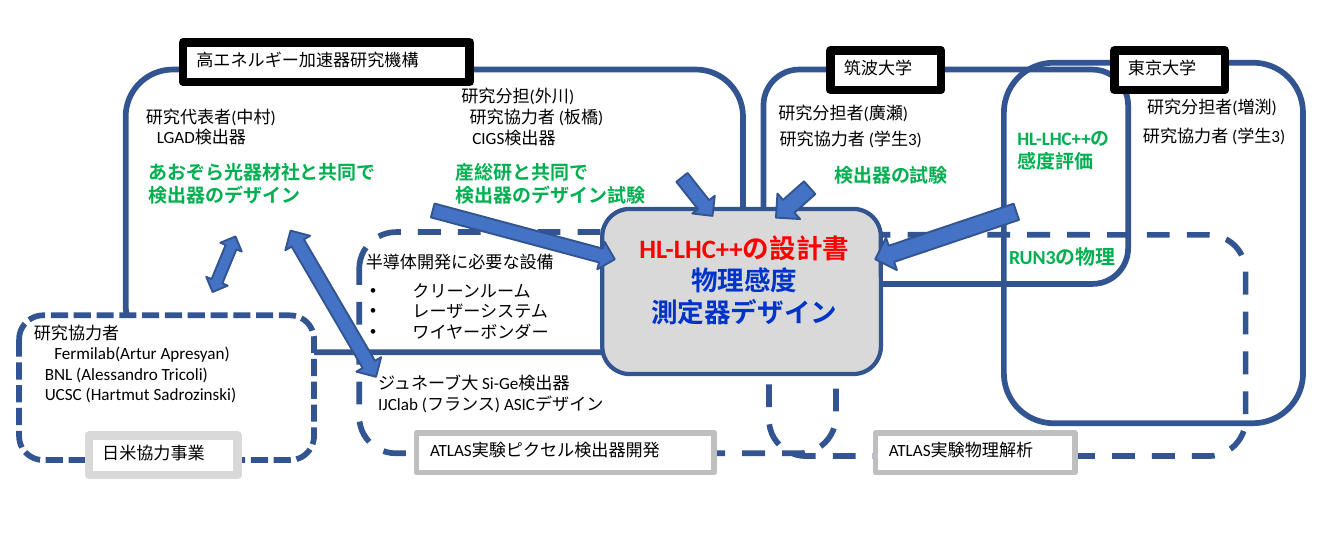
from pptx import Presentation
from pptx import util as u
from pptx.dml.color import RGBColor
from pptx.enum import dml, shapes, text

FONT = "Calibri"
NAVY, BLUE, GREEN, BLACK = "325491", "4472C4", "00B050", "000000"
WHITE, SILVER, PALE = "FFFFFF", "BFBFBF", "D9D9D9"
KIND = shapes.MSO_SHAPE
DASH, SHORT_DASH = dml.MSO_LINE.DASH, dml.MSO_LINE.SQUARE_DOT

# (left, top, width, height), dash style, fill
REGIONS = [
    ((5.63, 1.72, 3.49, 1.62), DASH, None),         # physics analysis
    ((0.92, 0.51, 4.52, 2.07), None, None),         # accelerator laboratory
    ((0.14, 2.31, 2.16, 1.06), SHORT_DASH, WHITE),  # Japan-US programme
    ((5.59, 0.51, 2.67, 1.57), None, None),         # Tsukuba
    ((2.63, 1.70, 3.49, 1.62), DASH, None),         # pixel development
    ((7.35, 0.46, 2.19, 2.64), None, None),         # Tokyo
]

# text, left, top, width, frame colour, frame weight
LABEL_HEIGHT = 0.29
LABELS = [
    ("高エネルギー加速器研究機構", 1.34, 0.31, 2.10, BLACK, 4.5),
    ("筑波大学", 6.08, 0.37, 0.81, BLACK, 4.5),
    ("東京大学", 8.16, 0.37, 0.81, BLACK, 4.5),
    ("日米協力事業", 0.65, 3.19, 1.09, PALE, 4.5),
    ("ATLAS実験ピクセル検出器開発", 3.05, 3.17, 2.18, SILVER, 3),
    ("ATLAS実験物理解析", 6.41, 3.17, 1.46, SILVER, 3),
]

# place, lines as (text, indent)
MEMBERS = [
    ((0.97, 0.73, 1.36, 0.46), [("研究代表者(中村)", 0), ("LGAD検出器", 0.08)]),
    ((3.28, 0.58, 1.45, 0.63), [("研究分担(外川)", 0), ("研究協力者 (板橋)", 0.06),
                                ("CIGS検出器", 0.08)]),
    ((5.60, 0.70, 1.33, 0.29), [("研究分担者(廣瀬)", 0)]),
    ((5.61, 0.89, 1.43, 0.29), [("研究協力者 (学生3)", 0)]),
    ((8.30, 0.66, 1.33, 0.29), [("研究分担者(増渕)", 0)]),
    ((8.27, 0.87, 1.43, 0.29), [("研究協力者 (学生3)", 0)]),
    ((0.15, 2.31, 1.94, 0.81), [("研究協力者", 0), ("Fermilab(Artur Apresyan)", 0.15),
                                ("BNL (Alessandro Tricoli)", 0.08),
                                ("UCSC (Hartmut Sadrozinski)", 0.08)]),
    ((2.58, 1.79, 1.81, 0.29), [("半導体開発に必要な設備", 0)]),
    ((2.67, 2.68, 2.13, 0.46), [("ジュネーブ大 Si-Ge検出器", 0),
                                ("IJClab (フランス) ASICデザイン", 0)]),
]

# place, text, size
TASKS = [
    ((0.99, 1.13, 2.15, 0.50), "あおぞら光器材社と共同で\n検出器のデザイン", 10),
    ((3.24, 1.13, 1.83, 0.50), "産総研と共同で\n検出器のデザイン試験", 10),
    ((6.01, 1.15, 1.19, 0.31), "検出器の試験", 10),
    ((7.35, 0.88, 1.02, 0.50), "HL-LHC++の\n感度評価", 10),
    ((7.29, 1.74, 1.16, 0.32), "RUN3の物理", 10.5),
]

FACILITIES = "クリーンルーム\nレーザーシステム\nワイヤーボンダー"
FACILITIES_PLACE = (2.61, 2.00, 1.74, 0.81)

HUB_PLACE = (4.41, 1.53, 2.04, 1.21)
GOAL_PLACE = (4.44, 1.65, 2.02, 1.19)
GOAL = "HL-LHC++の設計書\n物理感度\n測定器デザイン"
GOAL_COLOURS = ["FF0000", "0033CC", "0033CC"]

# kind, place before turning, rotation
ARROWS = [
    (KIND.DOWN_ARROW, (5.68, 1.32, 0.25, 0.33), 48.5),
    (KIND.DOWN_ARROW, (5.00, 1.26, 0.21, 0.36), 321.6),
    (KIND.DOWN_ARROW, (3.73, 1.03, 0.21, 1.38), 285),
    (KIND.DOWN_ARROW, (6.80, 1.18, 0.25, 1.09), 71.4),
    (KIND.LEFT_RIGHT_ARROW, (1.42, 1.85, 0.44, 0.17), 112.4),
    (KIND.LEFT_RIGHT_ARROW, (1.82, 2.12, 1.24, 0.21), 59.7),
]


def colour(value):
    """Turn a hex string into a colour."""
    return RGBColor.from_string(value)


def inches(place):
    """Turn a tuple of numbers into lengths."""
    return [u.Inches(number) for number in place]


def add_figure(kind, place, fill, line, weight, dash=None):
    """Draw a preset shape with its fill and outline."""
    shape = page.shapes.add_shape(kind, *inches(place))
    shape.shadow.inherit = False
    if fill:
        shape.fill.solid()
        shape.fill.fore_color.rgb = colour(fill)
    else:
        shape.fill.background()
    shape.line.color.rgb = colour(line)
    shape.line.width = u.Pt(weight)
    if dash:
        shape.line.dash_style = dash
    return shape


def write(box, words, size, colours, bold=False, align=text.PP_ALIGN.LEFT):
    """Fill a box with lines, one colour for each, and format them."""
    frame = box.text_frame
    frame.text = words
    frame.word_wrap = True
    frame.auto_size = text.MSO_AUTO_SIZE.NONE
    frame.vertical_anchor = text.MSO_ANCHOR.TOP
    for paragraph, hue in zip(frame.paragraphs, colours):
        paragraph.alignment = align
        paragraph.space_before = u.Pt(0)
        for span in paragraph.runs:
            span.font.name = FONT
            span.font.size = u.Pt(size)
            span.font.bold = bold
            span.font.color.rgb = colour(hue)


def indent(paragraph, left, first=0):
    """Set the left margin and first-line indent of a paragraph."""
    properties = paragraph._p.get_or_add_pPr()
    properties.set("marL", str(u.Inches(left)))
    properties.set("indent", str(u.Inches(first)))


def place_in_front(holder, place):
    """Move a placeholder to its place, above what is drawn so far."""
    holder.left, holder.top, holder.width, holder.height = inches(place)
    tree = holder.element.getparent()
    tree.append(holder.element)


deck = Presentation()
deck.slide_width, deck.slide_height = u.Inches(9.84), u.Inches(3.94)
page = deck.slides.add_slide(deck.slide_layouts[1])
goal, facilities = page.shapes.title, page.placeholders[1]

for place, dash, fill in REGIONS:
    add_figure(KIND.ROUNDED_RECTANGLE, place, fill, NAVY, 3, dash)

for words, left, top, width, frame_colour, weight in LABELS:
    label = add_figure(KIND.RECTANGLE, (left, top, width, LABEL_HEIGHT),
                       WHITE, frame_colour, weight)
    write(label, words, 9, [BLACK])

add_figure(KIND.ROUNDED_RECTANGLE, HUB_PLACE, PALE, NAVY, 2.25)
place_in_front(goal, GOAL_PLACE)
write(goal, GOAL, 14, GOAL_COLOURS, True, text.PP_ALIGN.CENTER)

place_in_front(facilities, FACILITIES_PLACE)
write(facilities, FACILITIES, 9, [BLACK] * 3)
for paragraph in facilities.text_frame.paragraphs:
    indent(paragraph, 0.31, -0.31)

for place, lines in MEMBERS:
    box = page.shapes.add_textbox(*inches(place))
    write(box, "\n".join(words for words, _ in lines), 9, [BLACK] * len(lines))
    for paragraph, (_, left) in zip(box.text_frame.paragraphs, lines):
        indent(paragraph, left)

for place, words, size in TASKS:
    box = page.shapes.add_textbox(*inches(place))
    write(box, words, size, [GREEN] * 2, True)

for kind, place, turn in ARROWS:
    arrow = add_figure(kind, place, BLUE, NAVY, 1)
    arrow.rotation = turn

deck.save("out.pptx")
